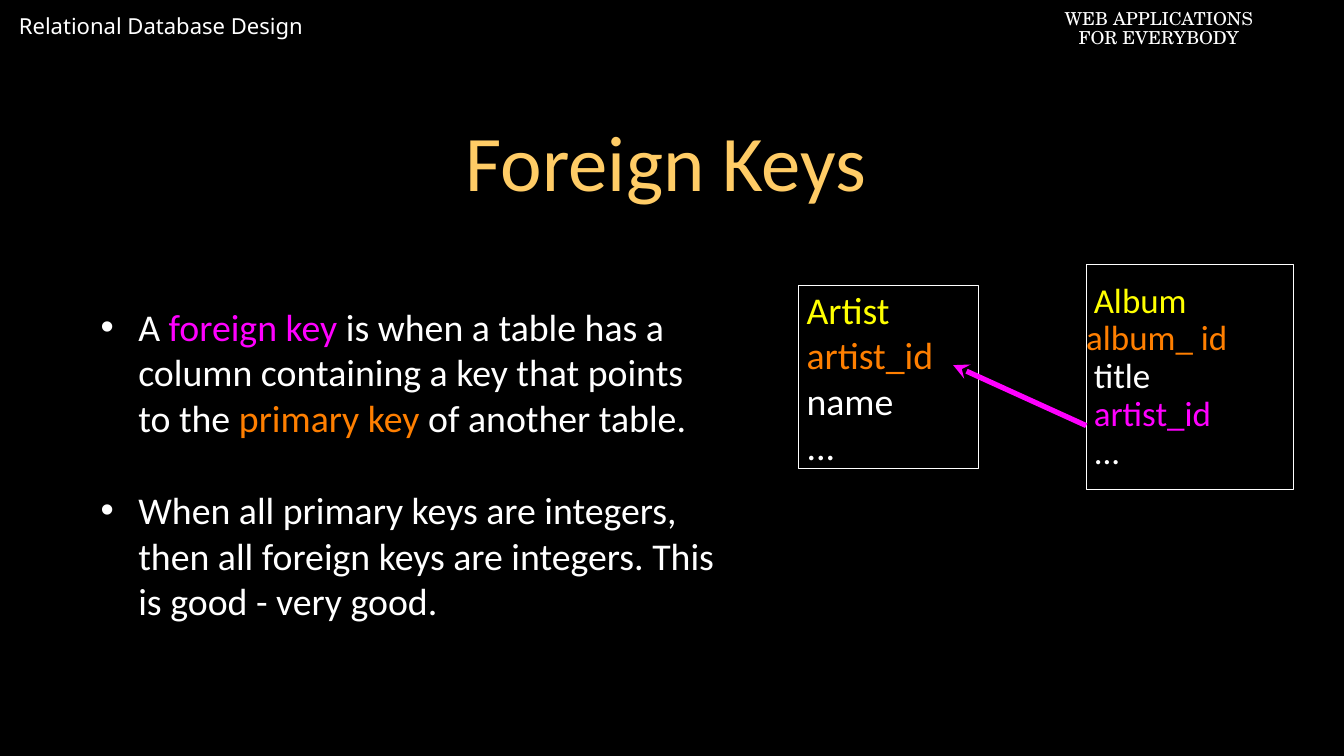
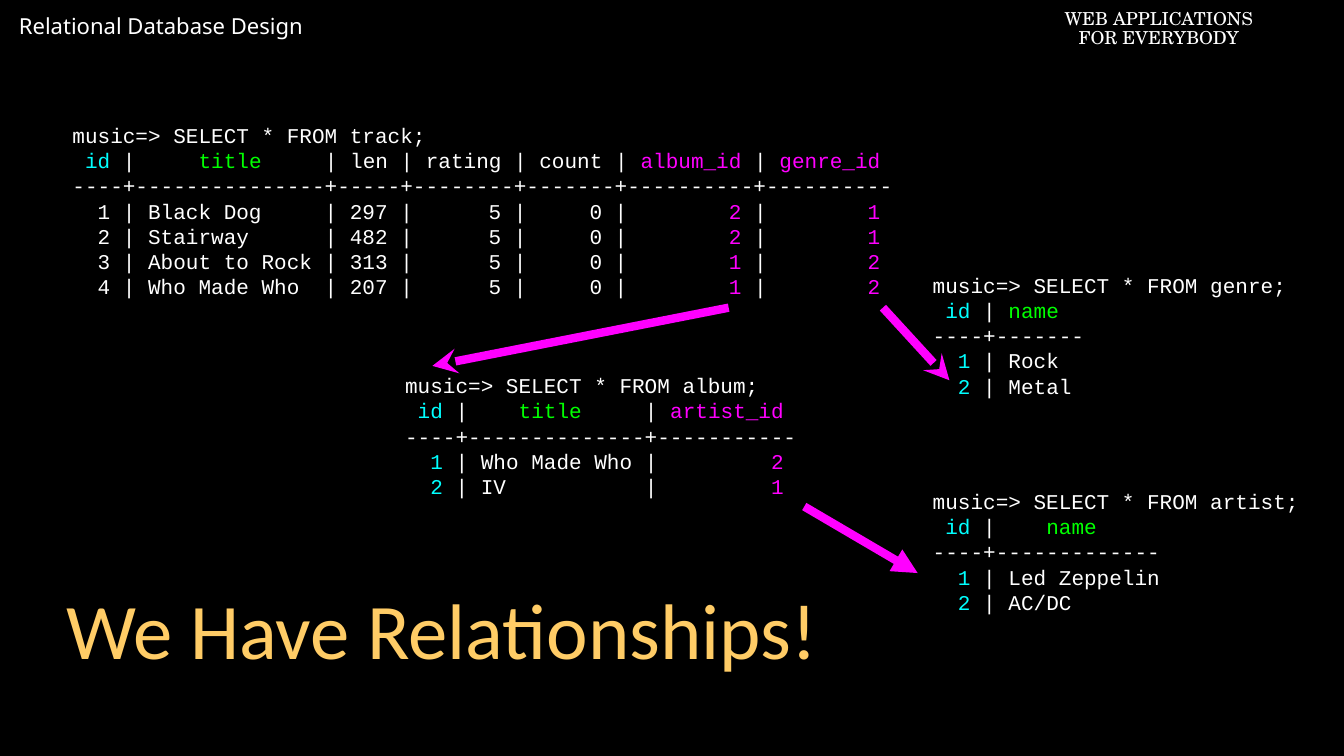
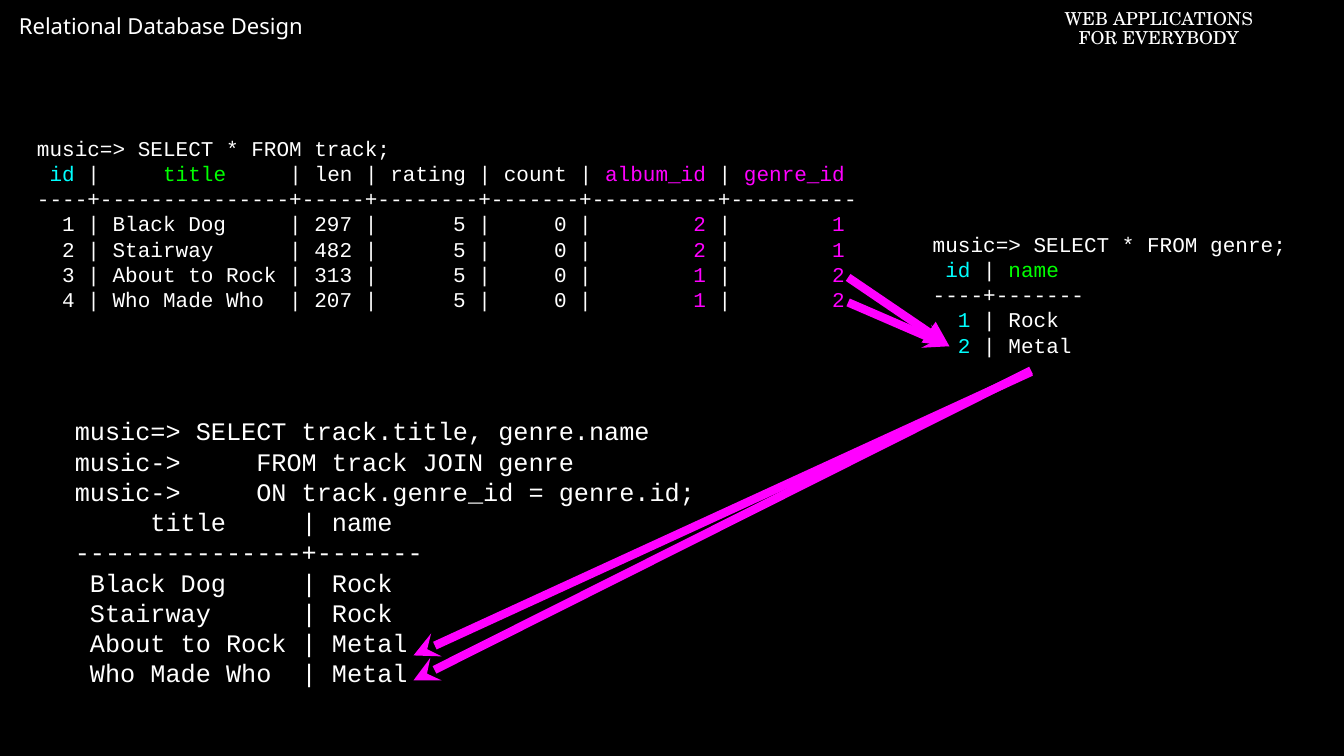
from itertools import groupby

from lxml.etree import SubElement
from pptx import Presentation
from pptx.dml.color import RGBColor
from pptx.enum.shapes import MSO_CONNECTOR as CONN, MSO_SHAPE as SHAPE
from pptx.enum.text import MSO_ANCHOR as ANCHOR, MSO_AUTO_SIZE as FIT, PP_ALIGN as ALIGN
from pptx.oxml.ns import qn
from pptx.util import Inches, Pt

BLACK, WHITE, GOLD = "000000", "FFFFFF", "FFCC66"
YELLOW, ORANGE, MAGENTA = "FFFF00", "FF7F00", "FF00FF"
CYAN, GREEN = "00FFFF", "00FF00"
SANS, MONO = "Calibri", "Courier New"
NARROW, WIDE = (0.1, 0.05), (0.18, 0.09)

BULLETS = [
    [("A", WHITE), (" foreign key", MAGENTA),
     (" is when a table has a column containing a key that points to the ", WHITE),
     ("primary key", ORANGE), (" of another table.", WHITE)],
    [("When all primary keys are integers, then all foreign keys are integers. "
      "This is good - very good.", WHITE)],
]

ENTITIES = [
    {"at": (10.56, 3.78, 2.38, 2.42), "size": 36, "spacing": None, "rows": [
        ("Artist", YELLOW, 0.11), ("artist_id", ORANGE, 0.11),
        ("name", WHITE, 0.11), ("...", WHITE, 0.11)]},
    {"at": (14.37, 3.5, 2.74, 2.98), "size": 33.3, "spacing": 0.9, "rows": [
        ("Album", YELLOW, 0.1), ("album_ id", ORANGE, 0), ("title", WHITE, 0.1),
        ("artist_id", MAGENTA, 0.1), ("...", WHITE, 0.1)]},
]

TRACK = """\
music=> SELECT * FROM track;
 id |     title     | len | rating | count | album_id | genre_id
----+---------------+-----+--------+-------+----------+----------
  1 | Black Dog     | 297 |      5 |     0 |        2 |        1
  2 | Stairway      | 482 |      5 |     0 |        2 |        1
  3 | About to Rock | 313 |      5 |     0 |        1 |        2
  4 | Who Made Who  | 207 |      5 |     0 |        1 |        2"""

GENRE = """\
music=> SELECT * FROM genre;
 id | name
----+-------
  1 | Rock
  2 | Metal"""

ALBUM = """\
music=> SELECT * FROM album;
 id |    title     | artist_id
----+--------------+-----------
  1 | Who Made Who |         2
  2 | IV           |         1"""

ARTIST = """\
music=> SELECT * FROM artist;
 id |    name
----+-------------
  1 | Led Zeppelin
  2 | AC/DC"""

JOIN = """\
music=> SELECT track.title, genre.name
music->     FROM track JOIN genre
music->     ON track.genre_id = genre.id;
     title     | name
---------------+-------
 Black Dog     | Rock
 Stairway      | Rock
 About to Rock | Metal
 Who Made Who  | Metal"""

HEAD_COLOURS = {"id": CYAN, "title": GREEN, "name": GREEN,
                "album_id": MAGENTA, "genre_id": MAGENTA, "artist_id": MAGENTA}
KEY_COLOURS = {k: c for k, c in HEAD_COLOURS.items() if c != GREEN}
FOREIGN_COLOURS = {k: c for k, c in KEY_COLOURS.items() if c == MAGENTA}


def rgb(colour):
    return RGBColor.from_string(colour)


def inches(*values):
    return [Inches(v) for v in values]


def set_frame(tf, insets, anchor=ANCHOR.TOP, fit=FIT.NONE):
    tf.margin_left = tf.margin_right = Inches(insets[0])
    tf.margin_top = tf.margin_bottom = Inches(insets[1])
    tf.vertical_anchor, tf.auto_size, tf.word_wrap = anchor, fit, True


def add_run(p, text, size, font, colour):
    r = p.add_run()
    r.text = text
    r.font.size, r.font.name = Pt(size), font
    r.font.color.rgb = rgb(colour)


def write(tf, paragraphs, size, font, align=ALIGN.LEFT, spacing=None):
    for i, runs in enumerate(paragraphs):
        p = tf.paragraphs[0] if i == 0 else tf.add_paragraph()
        p.alignment, p.line_spacing = align, spacing
        for text, colour in runs:
            add_run(p, text, size, font, colour)


def add_text(s, at, paragraphs, size, font, insets, **style):
    tf = s.shapes.add_textbox(*inches(*at)).text_frame
    set_frame(tf, insets, fit=FIT.SHAPE_TO_FIT_TEXT)
    write(tf, paragraphs, size, font, **style)


def place(sp, at):
    sp.left, sp.top, sp.width, sp.height = inches(*at)
    set_frame(sp.text_frame, (0.07, 0.07), ANCHOR.MIDDLE)


def add_slide(prs, layout):
    s = prs.slides.add_slide(prs.slide_layouts.get_by_name(layout))
    add_text(s, (0.07, 0.07, 5.32, 0.88), [[("Relational Database Design", WHITE)]],
             21, "Noto Sans", WIDE)
    add_text(s, (13.31, 0.08, 4.04, 0.61),
             [[("WEB APPLICATIONS", WHITE)], [("FOR EVERYBODY", WHITE)]],
             17, "TeX Gyre Schola", NARROW, align=ALIGN.CENTER, spacing=0.9)
    return s


def set_title(s, text, at):
    place(s.shapes.title, at)
    write(s.shapes.title.text_frame, [[(text, GOLD)]], 75, SANS, ALIGN.CENTER)


def add_bullets(sp, at):
    place(sp, at)
    write(sp.text_frame, BULLETS, 36, SANS)
    for i, p in enumerate(sp.text_frame.paragraphs):
        pPr = p._p.get_or_add_pPr()
        pPr.set("marL", str(Inches(0.5)))
        pPr.set("indent", str(Inches(-0.5)))
        SubElement(SubElement(pPr, qn("a:buClr")), qn("a:srgbClr")).set("val", WHITE)
        SubElement(pPr, qn("a:buChar")).set("char", "•")
        p.space_before, p.space_after = Pt(35 if i else 0), Pt(10)


def add_entity(s, at, size, spacing, rows):
    sp = s.shapes.add_shape(SHAPE.RECTANGLE, *inches(*at))
    sp.shadow.inherit = False
    sp.fill.background()
    sp.line.color.rgb, sp.line.width = rgb(WHITE), Pt(1)
    tf = sp.text_frame
    set_frame(tf, (0, 0), ANCHOR.MIDDLE)
    write(tf, [[(text, colour)] for text, colour, _ in rows], size, SANS, spacing=spacing)
    for p, (_, _, indent) in zip(tf.paragraphs, rows):
        p._p.get_or_add_pPr().set("marL", str(Inches(indent)))


def add_arrow(s, tip, start, width=8, head="stealth"):
    c = s.shapes.add_connector(CONN.STRAIGHT, *inches(*tip, *start))
    c.line.color.rgb, c.line.width = rgb(MAGENTA), Pt(width)
    spPr = c.element.spPr
    SubElement(spPr.find(qn("a:ln")), qn("a:headEnd")).set("type", head)
    SubElement(spPr, qn("a:effectLst"))


def colour_line(line, names, colours):
    parts = []
    for i, cell in enumerate(line.split("|")):
        if i:
            parts.append(("|", WHITE))
        parts.append((cell, colours.get(names[i], WHITE)))
    return [("".join(text for text, _ in group), colour)
            for colour, group in groupby(parts, key=lambda part: part[1])]


def add_result(s, at, listing, data_colours=KEY_COLOURS, insets=WIDE):
    query, header, rule, *rows = listing.splitlines()
    names = [cell.strip() for cell in header.split("|")]
    paragraphs = [[(query, WHITE)], colour_line(header, names, HEAD_COLOURS), [(rule, WHITE)]]
    paragraphs += [colour_line(row, names, data_colours) for row in rows]
    add_text(s, at, paragraphs, 20, MONO, insets)


def add_track(s, left, top):
    add_result(s, (left, top, 12.52, 2.44), TRACK, FOREIGN_COLOURS, NARROW)


def add_lookup(s, top, listing):
    add_result(s, (12.16, top, 5.4, 1.85), listing)


def foreign_keys(prs):
    s = add_slide(prs, "Title and Content")
    set_title(s, "Foreign Keys", (1.19, 0.85, 15.24, 2.52))
    add_bullets(s.placeholders[1], (1.26, 2.68, 8.35, 6.9))
    for entity in ENTITIES:
        add_entity(s, **entity)
    add_arrow(s, (12.61, 4.83), (14.37, 5.63), width=5)


def relationships(prs):
    s = add_slide(prs, "Title Only")
    set_title(s, "We Have Relationships!", (0.31, 7.33, 11.07, 1.96))
    add_arrow(s, (12.14, 7.58), (10.64, 6.7), head="triangle")
    add_arrow(s, (5.72, 4.84), (9.64, 4.07))
    add_arrow(s, (12.56, 5.03), (11.68, 4.07))
    add_track(s, 0.86, 1.57)
    add_lookup(s, 3.51, GENRE)
    add_result(s, (5.18, 4.84, 6.5, 1.85), ALBUM)
    add_lookup(s, 6.37, ARTIST)


def join(prs):
    s = add_slide(prs, "Blank")
    add_track(s, 0.39, 1.74)
    add_lookup(s, 2.97, GENRE)
    add_arrow(s, (12.56, 4.58), (11.22, 3.67), head="triangle")
    add_arrow(s, (12.56, 4.58), (11.22, 4))
    add_arrow(s, (5.47, 8.67), (13.64, 4.92))
    add_arrow(s, (5.47, 9), (13.64, 4.9))
    add_text(s, (0.81, 5.41, 16.72, 3.78), [[(line, WHITE)] for line in JOIN.splitlines()],
             24, MONO, WIDE)


def main():
    prs = Presentation()
    prs.slide_width, prs.slide_height = inches(17.78, 10)
    fill = prs.slide_master.background.fill
    fill.solid()
    fill.fore_color.rgb = rgb(BLACK)
    foreign_keys(prs)
    relationships(prs)
    join(prs)
    prs.save("out.pptx")


if __name__ == "__main__":
    main()
